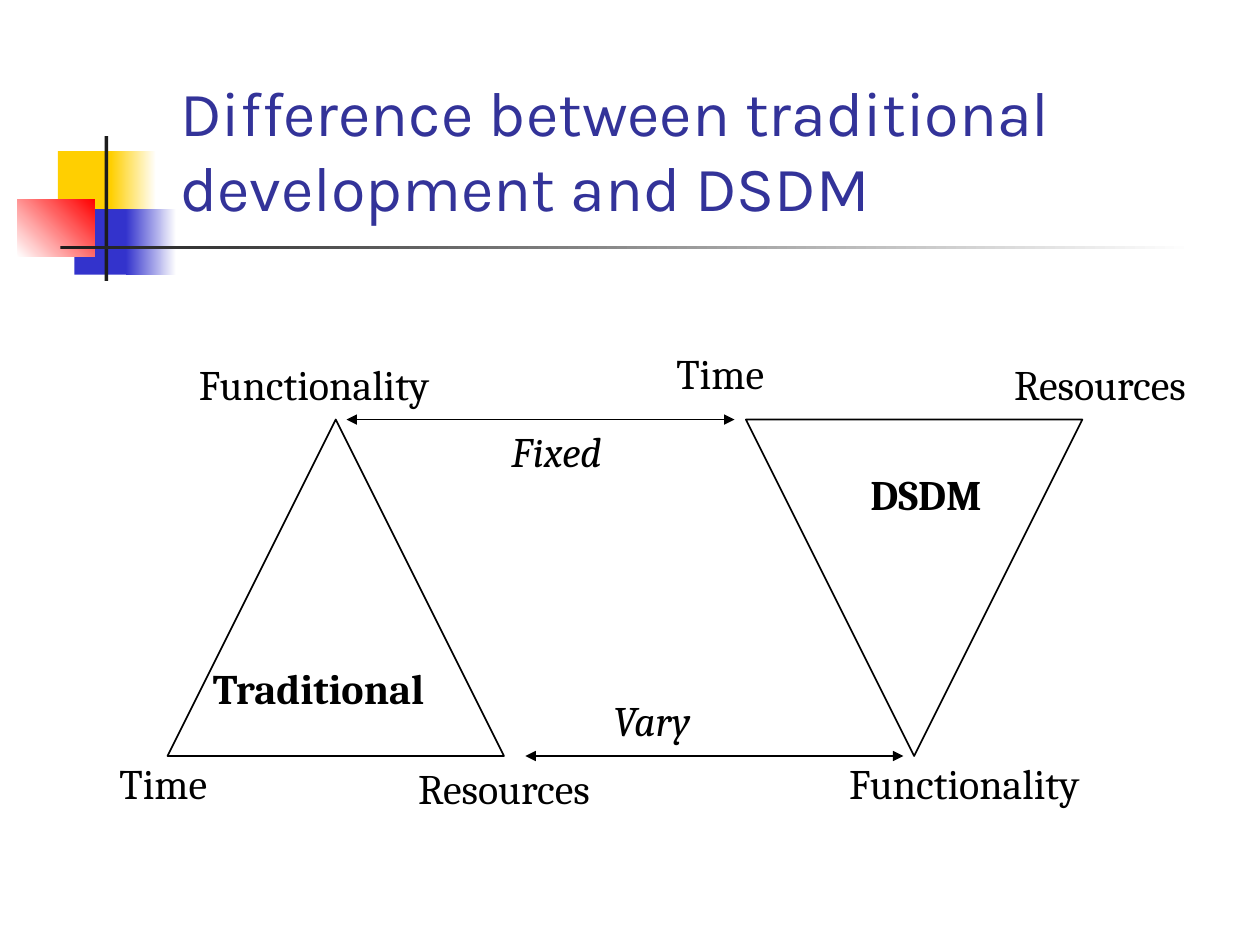
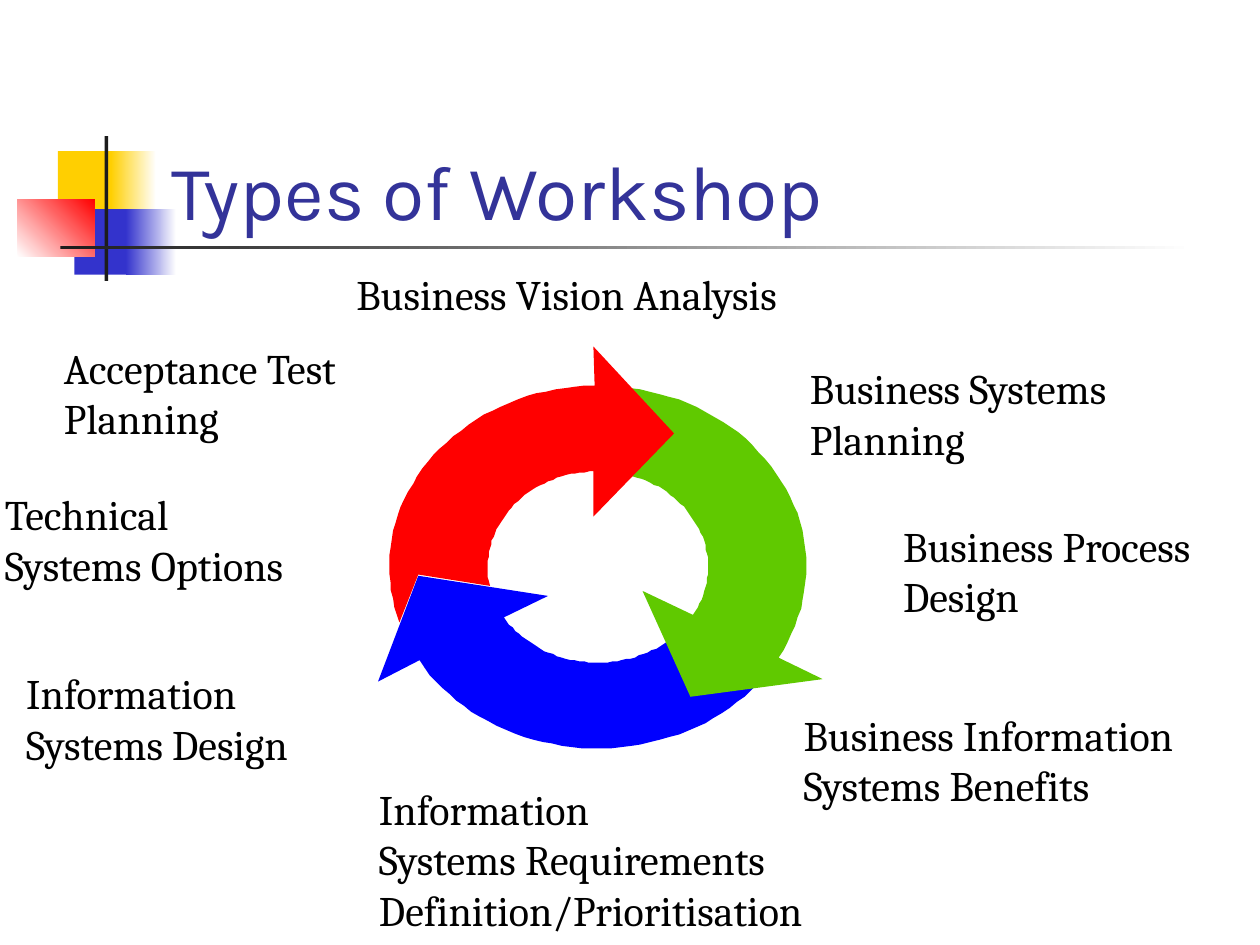
from math import cos, radians, sin

from lxml.etree import SubElement
from pptx import Presentation
from pptx.dml.color import RGBColor as RGB
from pptx.enum.shapes import MSO_CONNECTOR as LINK, MSO_SHAPE as SHAPE
from pptx.enum.text import MSO_ANCHOR as ANCHOR, MSO_AUTO_SIZE as FIT, PP_ALIGN as ALIGN
from pptx.oxml.ns import qn
from pptx.util import Emu, Pt

PX = 9144
COLORS = {
    "white": "FFFFFF", "black": "000000", "ink": "1C1C1C", "title": "333399",
    "gold": "FFCF01", "navy": "3333CC", "red": "FF0000",
    "blue": "0000FF", "green": "60C900",
}
HEAD_FONT = "Karla"
BODY_FONT = "Cambria"

DECOR = [
    ((46, 120, 48, 52), "gold", None, 0),
    ((88, 120, 36, 52), "gold", "white", 0),
    ((59, 166, 46, 52), "navy", None, 0),
    ((100, 166, 40, 52), "navy", "white", 0),
    ((14, 158, 61, 46), "white", "red", 45),
    ((83, 108, 3, 115), "ink", None, 0),
    ((48, 195, 900, 3), "ink", "white", 0),
]

CORNERS = [
    ((85, 596, 100, 50), "Time", ""),
    ((322, 600, 180, 50), "Resources", ""),
    ((664, 596, 232, 50), "Functionality", ""),
    ((148, 280, 232, 50), "Functionality", ""),
    ((527, 271, 100, 50), "Time", ""),
    ((795, 280, 180, 50), "Resources", ""),
    ((477, 546, 95, 50), "Vary", "i"),
    ((396, 333, 104, 50), "Fixed", "i"),
    ((159, 521, 212, 50), "Traditional", "b"),
    ((681, 367, 122, 50), "DSDM", "b"),
]

SHOPS = [
    ((273, 208, 408, 50), "Business Vision Analysis"),
    ((633, 283, 295, 90), "Business Systems\nPlanning"),
    ((707, 408, 286, 90), "Business Process\nDesign"),
    ((628, 558, 370, 90), "Business Information\nSystems Benefits"),
    ((291, 617, 400, 130), "Information\nSystems Requirements\nDefinition/Prioritisation"),
    ((11, 525, 264, 90), "Information\nSystems Design"),
    ((-6, 383, 280, 90), "Technical\nSystems Options"),
    ((41, 267, 274, 90), "Acceptance Test\nPlanning"),
]

HUB = (474.5, 450)
OUTER = (165.5, 144)
INNER = (87.5, 76)
WHEEL = [
    ("blue", (40, 149), [(300, 541), (332, 457), (435, 473)], (148, 51), []),
    ("green", (-81, 30), [(653, 539), (548, 553), (510, 469)], (30, -72), []),
    ("red", (162, 269), [(471, 275), (535, 344), (471, 410)], (268, 169),
     [(389, 465), (332, 456)]),
]


def tint(name):
    return RGB.from_string(COLORS[name])


def scale(box):
    return [Emu(n * PX) for n in box]


def add_run(para, text, font, size, color, style=""):
    run = para.add_run()
    run.text = text
    run.font.name = font
    run.font.size = Pt(size)
    run.font.color.rgb = tint(color)
    run.font.bold = "b" in style
    run.font.italic = "i" in style


def add_title(slide, box, text, size):
    title = slide.shapes.title
    title.left, title.top, title.width, title.height = scale(box)
    frame = title.text_frame
    frame.word_wrap = True
    frame.auto_size = FIT.NONE
    frame.vertical_anchor = ANCHOR.BOTTOM
    para = frame.paragraphs[0]
    para.alignment = ALIGN.LEFT
    add_run(para, text, HEAD_FONT, size, "title")


def add_label(slide, box, text, style=""):
    frame = slide.shapes.add_textbox(*scale(box)).text_frame
    frame.word_wrap = False
    frame.auto_size = FIT.SHAPE_TO_FIT_TEXT
    for i, line in enumerate(text.split("\n")):
        para = frame.add_paragraph() if i else frame.paragraphs[0]
        add_run(para, line, BODY_FONT, 24, "black", style)


def add_block(slide, box, first, last, angle):
    block = slide.shapes.add_shape(SHAPE.RECTANGLE, *scale(box))
    block.shadow.inherit = False
    block.line.fill.background()
    if last:
        block.fill.gradient()
        block.fill.gradient_angle = angle
        for stop, name in zip(block.fill.gradient_stops, (first, last)):
            stop.color.rgb = tint(name)
    else:
        block.fill.solid()
        block.fill.fore_color.rgb = tint(first)
    return block


def add_decor(slide):
    tree = slide.slide_layout.shapes.element
    for part in DECOR:
        tree.append(add_block(slide, *part).element)


def add_peak(slide, box, turn=0):
    peak = slide.shapes.add_shape(SHAPE.ISOSCELES_TRIANGLE, *scale(box))
    peak.rotation = turn
    peak.shadow.inherit = False
    peak.fill.background()
    peak.line.color.rgb = tint("black")
    peak.line.width = Pt(1)


def add_arrow(slide, ends):
    arrow = slide.shapes.add_connector(LINK.STRAIGHT, *scale(ends))
    arrow.line.color.rgb = tint("black")
    arrow.line.width = Pt(1)
    edge = arrow.line._get_or_add_ln()
    for tag in ("a:headEnd", "a:tailEnd"):
        SubElement(edge, qn(tag), type="triangle")
    SubElement(arrow.element.spPr, qn("a:effectLst"))


def arc(radii, span, steps=40):
    start, stop = span
    turns = [radians(start + (stop - start) * i / steps) for i in range(steps + 1)]
    return [(HUB[0] + radii[0] * cos(t), HUB[1] + radii[1] * sin(t)) for t in turns]


def add_wheel(slide):
    group = slide.shapes.add_group_shape()
    for color, out, head, back, tail in WHEEL:
        points = arc(OUTER, out) + head + arc(INNER, back) + tail
        pen = group.shapes.build_freeform(*points[0], scale=PX)
        pen.add_line_segments(points[1:], close=True)
        curve = pen.convert_to_shape()
        curve.shadow.inherit = False
        curve.fill.solid()
        curve.fill.fore_color.rgb = tint(color)
        curve.line.fill.background()


def main():
    deck = Presentation()
    deck.slide_width, deck.slide_height = scale((1000, 750))
    layout = deck.slide_layouts[5]

    slide = deck.slides.add_slide(layout)
    add_decor(slide)
    add_title(slide, (133, 58, 783, 125),
              "Difference between traditional development and DSDM", 36)
    add_peak(slide, (133, 333, 267, 267))
    add_peak(slide, (592, 333, 267, 267), 180)
    add_arrow(slide, (417, 600, 717, 600))
    add_arrow(slide, (583, 333, 275, 333))
    for label in CORNERS:
        add_label(slide, *label)

    slide = deck.slides.add_slide(layout)
    add_title(slide, (126, 67, 852, 125), "Types of Workshop", 44)
    add_wheel(slide)
    for label in SHOPS:
        add_label(slide, *label)

    deck.save("out.pptx")


if __name__ == "__main__":
    main()
